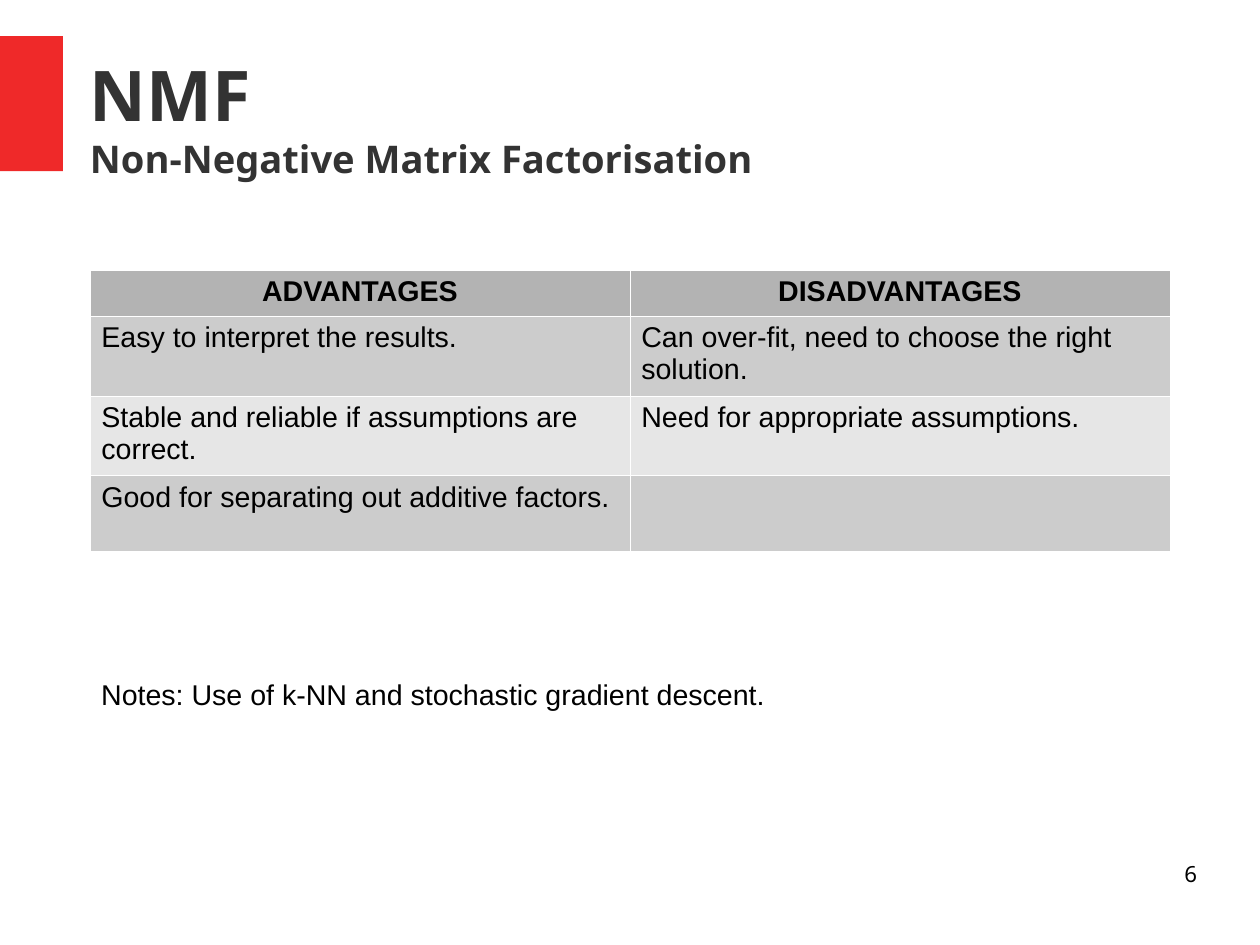
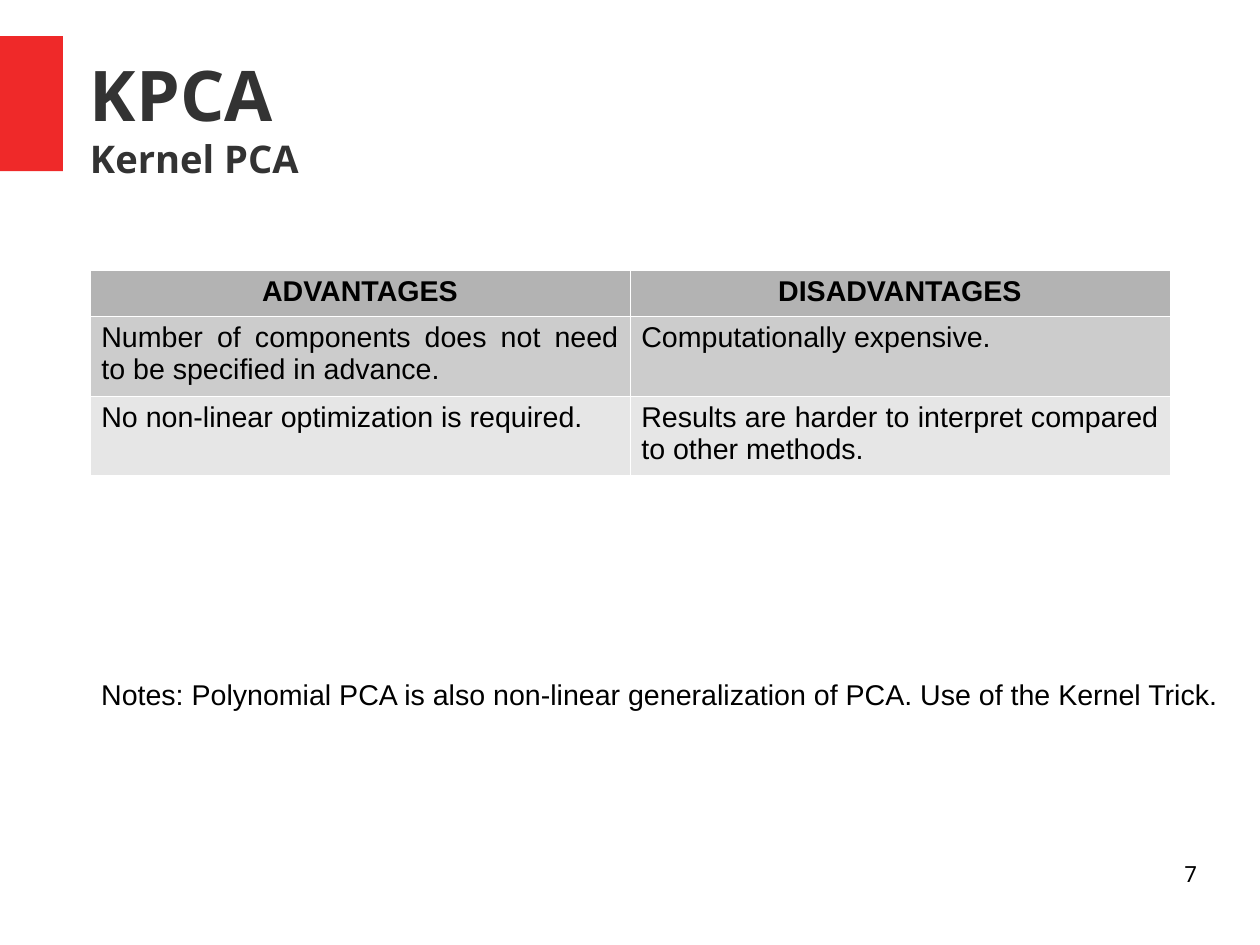
import dataclasses
import typing

import lxml.etree
import pptx
import pptx.dml.color
import pptx.enum.shapes
import pptx.enum.text
import pptx.oxml.ns
import pptx.presentation
import pptx.slide
import pptx.table
import pptx.text.text
import pptx.util

RGBColor = pptx.dml.color.RGBColor
Align = pptx.enum.text.PP_ALIGN
Anchor = pptx.enum.text.MSO_ANCHOR

RED = RGBColor(0xEF, 0x29, 0x29)
CHARCOAL = RGBColor(0x33, 0x33, 0x33)
BLACK = RGBColor(0x00, 0x00, 0x00)
WHITE = RGBColor(0xFF, 0xFF, 0xFF)
HEADER_GREY = RGBColor(0xB3, 0xB3, 0xB3)
BAND_GREYS = (RGBColor(0xCC, 0xCC, 0xCC), RGBColor(0xE6, 0xE6, 0xE6))

HEADING_FONT = "Noto Sans"
BODY_FONT = "Arial"
SLIDE_WIDTH = pptx.util.Cm(28)
SLIDE_HEIGHT = pptx.util.Cm(21)
BORDER_WIDTH = pptx.util.Pt(0.06)
TITLE_ONLY = 5
HEADERS = ("ADVANTAGES", "DISADVANTAGES")
HEADER_SHARE = 4.84


def across(percent: float) -> int:
    return round(SLIDE_WIDTH * percent / 100)


def down(percent: float) -> int:
    return round(SLIDE_HEIGHT * percent / 100)


@dataclasses.dataclass(frozen=True)
class Area:
    left: float
    top: float
    width: float
    height: float

    def place(self) -> tuple[int, int, int, int]:
        return across(self.left), down(self.top), across(self.width), down(self.height)


MARGIN = 7.14
BAND = Area(0, 3.81, 5, 14.29)
TITLE = Area(MARGIN, 4, 87.83, 16.67)
TABLE = Area(MARGIN, 28.57, 85.71, 20.68)
NOTES = Area(MARGIN, 71.05, 92.07, 7.98)
PAGE_NUMBER = Area(71.68, 91.07, 23.32, 6.89)


@dataclasses.dataclass(frozen=True)
class Row:
    advantage: str
    disadvantage: str = ""
    share: float = 8.46


@dataclasses.dataclass(frozen=True)
class Method:
    number: int
    acronym: str
    name: str
    rows: tuple[Row, ...]
    notes: str
    align: Align = Align.LEFT


METHODS = (
    Method(
        6, "NMF", "Non-Negative Matrix Factorisation",
        (
            Row("Easy to interpret the results.",
                "Can over-fit, need to choose the right solution."),
            Row("Stable and reliable if assumptions are correct.",
                "Need for appropriate assumptions."),
            Row("Good for separating out additive factors.", share=8.04),
        ),
        "Notes: Use of k-NN and stochastic gradient descent.",
    ),
    Method(
        7, "KPCA", "Kernel PCA",
        (
            Row("Number of components does not need to be specified in advance.",
                "Computationally expensive."),
            Row("No non-linear optimization is required.",
                "Results are harder to interpret compared to other methods."),
        ),
        "Notes: Polynomial PCA is also non-linear generalization of PCA. Use of the Kernel Trick.",
        Align.JUSTIFY,
    ),
)


def write(para: typing.Any, text: str, *, size: float = 18, font: str = BODY_FONT,
          color: RGBColor = BLACK, bold: bool = False, align: Align = Align.LEFT) -> None:
    para.alignment = align
    span = para.add_run()
    span.text = text
    span.font.size = pptx.util.Pt(size)
    span.font.name = font
    span.font.color.rgb = color
    span.font.bold = bold


def clear_margins(frame: pptx.text.text.TextFrame) -> None:
    frame.margin_left = frame.margin_right = 0
    frame.margin_top = frame.margin_bottom = 0


def add_band(page: pptx.slide.Slide) -> None:
    band = page.shapes.add_shape(pptx.enum.shapes.MSO_SHAPE.RECTANGLE, *BAND.place())
    band.shadow.inherit = False
    band.fill.solid()
    band.fill.fore_color.rgb = RED
    band.line.fill.background()


def set_title(page: pptx.slide.Slide, method: Method) -> None:
    title = page.shapes.title
    title.left, title.top, title.width, title.height = TITLE.place()
    frame = title.text_frame
    frame.auto_size = pptx.enum.text.MSO_AUTO_SIZE.NONE
    frame.word_wrap = True
    frame.vertical_anchor = Anchor.MIDDLE
    clear_margins(frame)
    para = frame.paragraphs[0]
    heading = {"font": HEADING_FONT, "color": CHARCOAL, "bold": True}
    write(para, method.acronym, size=44, **heading)
    para.add_line_break()
    write(para, method.name, size=24, **heading)


def add_text(page: pptx.slide.Slide, area: Area, text: str, *,
             inset: bool = True, **style: typing.Any) -> None:
    box = page.shapes.add_textbox(*area.place())
    box.text_frame.word_wrap = True
    if not inset:
        clear_margins(box.text_frame)
    write(box.text_frame.paragraphs[0], text, **style)


def set_borders(cell: typing.Any) -> None:
    properties = cell._tc.get_or_add_tcPr()
    qualified = pptx.oxml.ns.qn
    for index, side in enumerate(("a:lnL", "a:lnR", "a:lnT", "a:lnB")):
        line = lxml.etree.Element(qualified(side), w=str(BORDER_WIDTH))
        fill = lxml.etree.SubElement(line, qualified("a:solidFill"))
        lxml.etree.SubElement(fill, qualified("a:srgbClr"), val=str(WHITE))
        properties.insert(index, line)


def fill_row(table: pptx.table.Table, index: int, texts: tuple[str, str], share: float,
             fill: RGBColor, **style: typing.Any) -> None:
    table.rows[index].height = down(share)
    for column, text in enumerate(texts):
        cell = table.cell(index, column)
        cell.fill.solid()
        cell.fill.fore_color.rgb = fill
        set_borders(cell)
        if text:
            write(cell.text_frame.paragraphs[0], text, **style)


def add_comparison(page: pptx.slide.Slide, method: Method) -> None:
    frame = page.shapes.add_table(len(method.rows) + 1, len(HEADERS), *TABLE.place())
    table = frame.table
    table.first_row = table.horz_banding = False
    fill_row(table, 0, HEADERS, HEADER_SHARE, HEADER_GREY, bold=True, align=Align.CENTER)
    for index, row in enumerate(method.rows):
        fill_row(table, index + 1, (row.advantage, row.disadvantage), row.share,
                 BAND_GREYS[index % len(BAND_GREYS)], align=method.align)
    frame.height = sum(row.height for row in table.rows)


def add_method_page(deck: pptx.presentation.Presentation, method: Method) -> None:
    page = deck.slides.add_slide(deck.slide_layouts[TITLE_ONLY])
    add_band(page)
    set_title(page, method)
    add_comparison(page, method)
    add_text(page, NOTES, method.notes)
    add_text(page, PAGE_NUMBER, str(method.number), inset=False,
             size=14, font=HEADING_FONT, align=Align.RIGHT)


def main() -> None:
    deck = pptx.Presentation()
    deck.slide_width, deck.slide_height = SLIDE_WIDTH, SLIDE_HEIGHT
    for method in METHODS:
        add_method_page(deck, method)
    deck.save("out.pptx")


if __name__ == "__main__":
    main()
